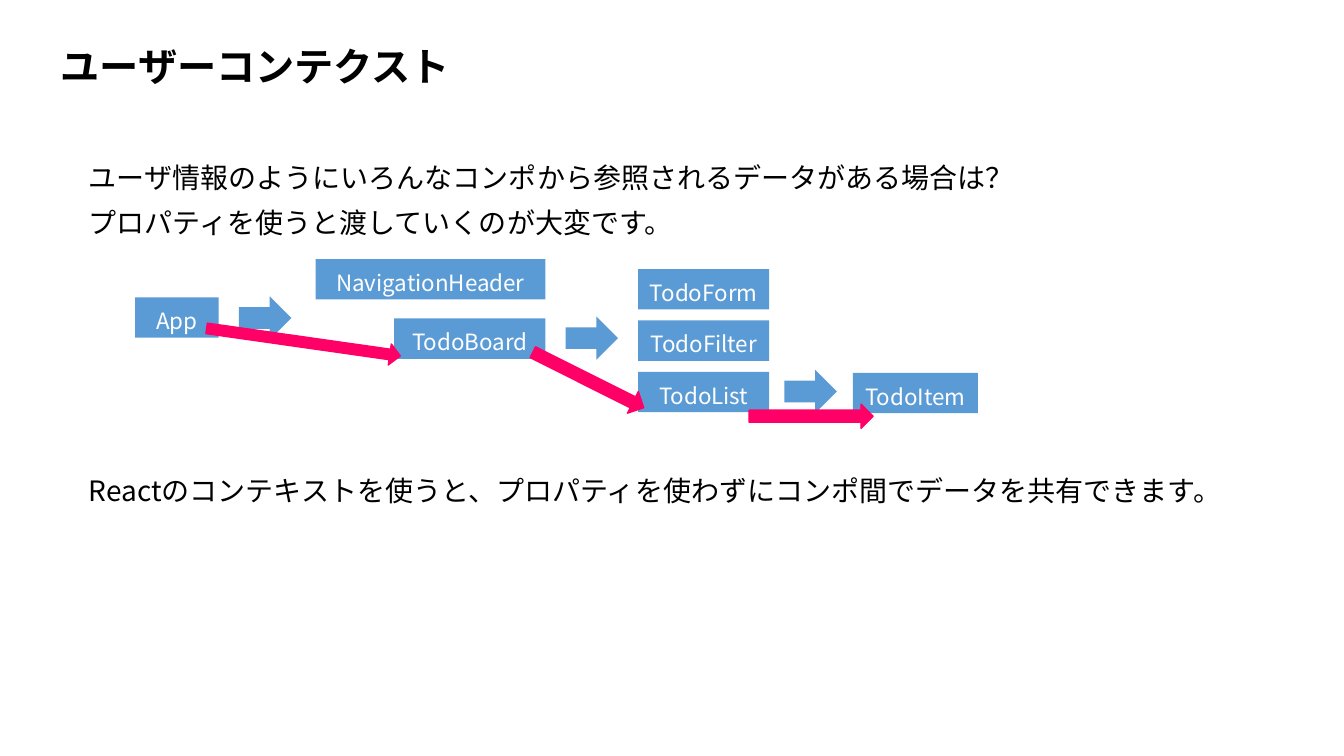
from dataclasses import dataclass

from lxml.etree import SubElement
from pptx import Presentation
from pptx.dml.color import RGBColor
from pptx.enum.shapes import MSO_SHAPE
from pptx.enum.text import MSO_ANCHOR, MSO_AUTO_SIZE, PP_ALIGN
from pptx.oxml.ns import qn
from pptx.util import Inches, Pt


@dataclass(frozen=True)
class Theme:
    """Colours, font and type sizes of the slide."""
    font: str = "Noto Sans CJK JP"
    ink: str = "000000"
    paper: str = "FFFFFF"
    node: str = "5B9BD5"
    flow: str = "FF0066"
    title_size: int = 28
    body_size: int = 20
    node_size: int = 16


THEME = Theme()
NODE_HEIGHT = 0.4
COMPONENTS = [
    ("App", 0, 0.38, 0.83),
    ("NavigationHeader", 1.79, 0, 2.28),
    ("TodoBoard", 2.57, 0.59, 1.5),
    *((name, 4.99, 0.1 + 0.51 * row, 1.3)
      for row, name in enumerate(["TodoForm", "TodoFilter", "TodoList"])),
    ("TodoItem", 7.12, 1.13, 1.24),
]
STEPS = [(1.03, 0.37), (4.27, 0.57), (6.44, 1.1)]
PROPERTY_FLOWS = [
    (0.7, 0.72, 1.94, 0.21, 8.1),
    (3.88, 1.08, 1.23, 0.24, 26.6),
    (6.09, 1.44, 1.23, 0.24, 0),
]


def place(item, box):
    """Move a placeholder to a box given in inches."""
    item.left, item.top, item.width, item.height = map(Inches, box)


def write(para, text, size, color=THEME.ink, bold=False,
          align=PP_ALIGN.LEFT, spacing=None, before=0):
    """Put formatted text into a paragraph."""
    para.alignment = align
    para.space_before = Pt(before)
    if spacing:
        para.line_spacing = Pt(spacing)
    span = para.add_run()
    span.text = text
    span.font.size = Pt(size)
    span.font.bold = bold
    span.font.color.rgb = RGBColor.from_string(color)
    span.font.name = THEME.font
    SubElement(span.font._element, qn("a:ea"), typeface=THEME.font)


def add_block(page, kind, box, color, outlined=False):
    """Add a filled preset shape, with an outline if asked."""
    block = page.shapes.add_shape(kind, *map(Inches, box))
    block.shadow.inherit = False
    block.fill.solid()
    block.fill.fore_color.rgb = RGBColor.from_string(color)
    if outlined:
        block.line.color.rgb = RGBColor.from_string(color)
        block.line.width = Pt(1)
    else:
        block.line.fill.background()
    return block


def fill_title(page, box, text):
    """Place and fill the title."""
    title = page.shapes.title
    place(title, box)
    frame = title.text_frame
    frame.word_wrap = True
    frame.auto_size = MSO_AUTO_SIZE.SHAPE_TO_FIT_TEXT
    frame.vertical_anchor = MSO_ANCHOR.TOP
    write(frame.paragraphs[0], text, THEME.title_size, bold=True)


def fill_body(page, box, lines):
    """Place the body and fill it with lines and the space before each."""
    body = page.placeholders[1]
    place(body, box)
    frame = body.text_frame
    frame.word_wrap = True
    frame.auto_size = MSO_AUTO_SIZE.NONE
    frame.vertical_anchor = MSO_ANCHOR.TOP
    for index, (text, before) in enumerate(lines):
        para = frame.add_paragraph() if index else frame.paragraphs[0]
        properties = para._p.get_or_add_pPr()
        properties.set("marL", "0")
        properties.set("indent", "0")
        SubElement(properties, qn("a:buNone"))
        write(para, text, THEME.body_size, spacing=32, before=before)


def draw_component(page, box, name):
    """Draw one labelled component."""
    frame = add_block(page, MSO_SHAPE.RECTANGLE, box, THEME.node).text_frame
    frame.word_wrap = True
    frame.margin_left = frame.margin_right = 0
    frame.vertical_anchor = MSO_ANCHOR.MIDDLE
    write(frame.paragraphs[0], name, THEME.node_size, color=THEME.paper,
          align=PP_ALIGN.CENTER, spacing=24)


def draw_component_tree(page, box):
    """Draw the components, the steps between them and the property flows."""
    left, top = box
    for name, x, y, width in COMPONENTS:
        draw_component(page, (left + x, top + y, width, NODE_HEIGHT), name)
    for x, y in STEPS:
        add_block(page, MSO_SHAPE.RIGHT_ARROW,
                  (left + x, top + y, 0.52, 0.43), THEME.node)
    for x, y, width, height, angle in PROPERTY_FLOWS:
        flow = add_block(page, MSO_SHAPE.RIGHT_ARROW,
                         (left + x, top + y, width, height), THEME.flow, outlined=True)
        flow.rotation = angle


def main():
    """Build and save the deck."""
    deck = Presentation()
    deck.slide_width, deck.slide_height = Inches(13.33), Inches(7.5)
    page = deck.slides.add_slide(deck.slide_layouts[1])
    fill_title(page, (0.5, 0.37, 9.19, 0.57), "ユーザーコンテクスト")
    fill_body(page, (0.78, 1.43, 11.91, 3.63), [
        ("ユーザ情報のようにいろんなコンポから参照されるデータがある場合は？", 0),
        ("プロパティを使うと渡していくのが大変です。", 0),
        ("Reactのコンテキストを使うと、プロパティを使わずにコンポ間でデータを共有できます。", 160),
    ])
    draw_component_tree(page, (1.34, 2.57))
    deck.save("out.pptx")


if __name__ == "__main__":
    main()
